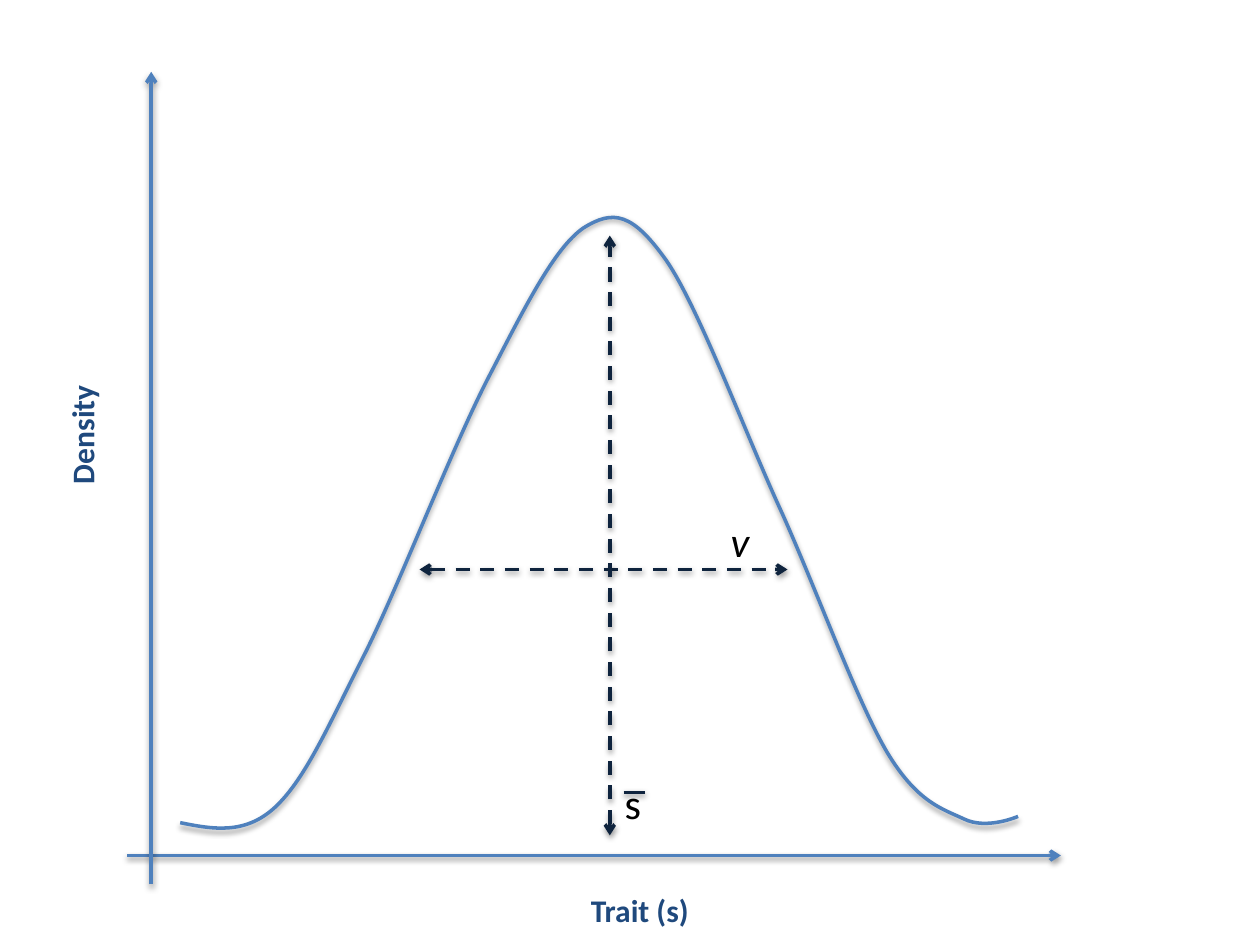
from lxml.etree import SubElement
from pptx import Presentation
from pptx.dml.color import RGBColor
from pptx.enum.dml import MSO_LINE
from pptx.enum.shapes import MSO_CONNECTOR
from pptx.enum.text import MSO_ANCHOR, MSO_AUTO_SIZE, PP_ALIGN
from pptx.oxml import parse_xml
from pptx.oxml.ns import nsdecls, qn
from pptx.util import Inches, Pt

INK = {"blue": "4F81BD", "navy": "0F243E", "title": "1F497D", "black": "000000"}
SHADE = (
    f'<a:effectLst {nsdecls("a")}><a:outerShdw blurRad="40000" dist="20000" '
    'dir="5400000" rotWithShape="0"><a:srgbClr val="000000">'
    '<a:alpha val="38000"/></a:srgbClr></a:outerShdw></a:effectLst>'
)
BELL = [
    (1.43, 6.53),
    (1.68, 6.58), (1.94, 6.63), (2.18, 6.41),
    (2.43, 6.18), (2.62, 5.73), (2.91, 5.16),
    (3.19, 4.59), (3.59, 3.55), (3.88, 2.99),
    (4.17, 2.43), (4.4, 1.97), (4.63, 1.81),
    (4.87, 1.66), (5.02, 1.69), (5.29, 2.07),
    (5.55, 2.45), (5.91, 3.43), (6.21, 4.08),
    (6.5, 4.73), (6.8, 5.56), (7.04, 5.97),
    (7.28, 6.37), (7.48, 6.42), (7.65, 6.5),
    (7.83, 6.59), (8.08, 6.48), (8.08, 6.48),
]


def stroke(item, hue):
    """Give a line or curve its colour, width and soft shadow."""
    item.line.color.rgb = RGBColor.from_string(INK[hue])
    item.line.width = Pt(2)
    item.element.spPr.append(parse_xml(SHADE))


def draw_line(slide, start, end, hue, tips=(), dash=False):
    """Draw a straight line with arrowheads at the named ends."""
    ends = [Inches(n) for n in (*start, *end)]
    line = slide.shapes.add_connector(MSO_CONNECTOR.STRAIGHT, *ends)
    stroke(line, hue)
    if dash:
        line.line.dash_style = MSO_LINE.DASH
    edge = line.element.spPr.find(qn("a:ln"))
    for tip in tips:
        SubElement(edge, qn(f"a:{tip}"), type="arrow")


def add_label(slide, box, text, size, hue, bold=False, slant=False, turn=0):
    """Place one short text in the given box."""
    label = slide.shapes.add_textbox(*[Inches(n) for n in box])
    label.rotation = turn
    frame = label.text_frame
    frame.word_wrap = False
    frame.auto_size = MSO_AUTO_SIZE.SHAPE_TO_FIT_TEXT
    frame.vertical_anchor = MSO_ANCHOR.TOP
    para = frame.paragraphs[0]
    para.alignment = PP_ALIGN.LEFT
    run = para.add_run()
    run.text = text
    font = run.font
    font.name, font.size, font.bold, font.italic = "Calibri", Pt(size), bold, slant
    font.color.rgb = RGBColor.from_string(INK[hue])


def add_axes(slide, box):
    """Draw both axes, crossing near the lower left of the box, with titles."""
    left, top, width, height = box
    right, low = left + width, top + height
    base, side = low - 0.23, left + 0.19
    draw_line(slide, (left, base), (right, base), "blue", ["tailEnd"])
    draw_line(slide, (side, low), (side, top), "blue", ["tailEnd"])
    add_label(slide, (left - 0.86, top + 2.67, 1, 0.4), "Density", 18, "title",
              bold=True, turn=270)
    add_label(slide, (left + 3.58, low, 0.99, 0.4), "Trait (s)", 18, "title",
              bold=True)


def add_curve(slide, points):
    """Draw an open curve through Bézier points, three to a segment."""
    spots = [(Inches(x), Inches(y)) for x, y in points]
    pen = slide.shapes.build_freeform(*spots[0])
    pen.add_line_segments(spots[1:], close=False)
    curve = pen.convert_to_shape()
    curve.fill.background()
    stroke(curve, "blue")
    steps = curve.element.xpath(".//a:lnTo")
    for i in range(0, len(steps), 3):
        bend = SubElement(steps[i].getparent(), qn("a:cubicBezTo"))
        for step in steps[i:i + 3]:
            bend.append(step[0])
            step.getparent().remove(step)


def add_spans(slide, box):
    """Mark the spread and the mean with dashed arrows in the box."""
    left, top, width, height = box
    right, low = left + width, top + height
    mid, row = 4.84, 4.52
    both = ["headEnd", "tailEnd"]
    draw_line(slide, (left, row), (right, row), "navy", both, dash=True)
    draw_line(slide, (mid, low), (mid, top), "navy", both, dash=True)
    add_label(slide, (right - 0.55, row - 0.48, 0.43, 0.5), "v", 24, "black",
              slant=True)
    add_label(slide, (mid + 0.02, low - 0.51, 0.33, 0.5), "s", 24, "black")
    bar = low - 0.34
    draw_line(slide, (mid + 0.11, bar), (mid + 0.28, bar), "navy")


def main():
    """Build the slide and save it."""
    deck = Presentation()
    deck.slide_width, deck.slide_height = Inches(10), Inches(7.5)
    slide = deck.slides.add_slide(deck.slide_layouts[6])
    add_axes(slide, (1.01, 0.57, 7.41, 6.45))
    add_curve(slide, BELL)
    add_spans(slide, (3.33, 1.87, 2.92, 4.76))
    deck.save("out.pptx")


if __name__ == "__main__":
    main()
